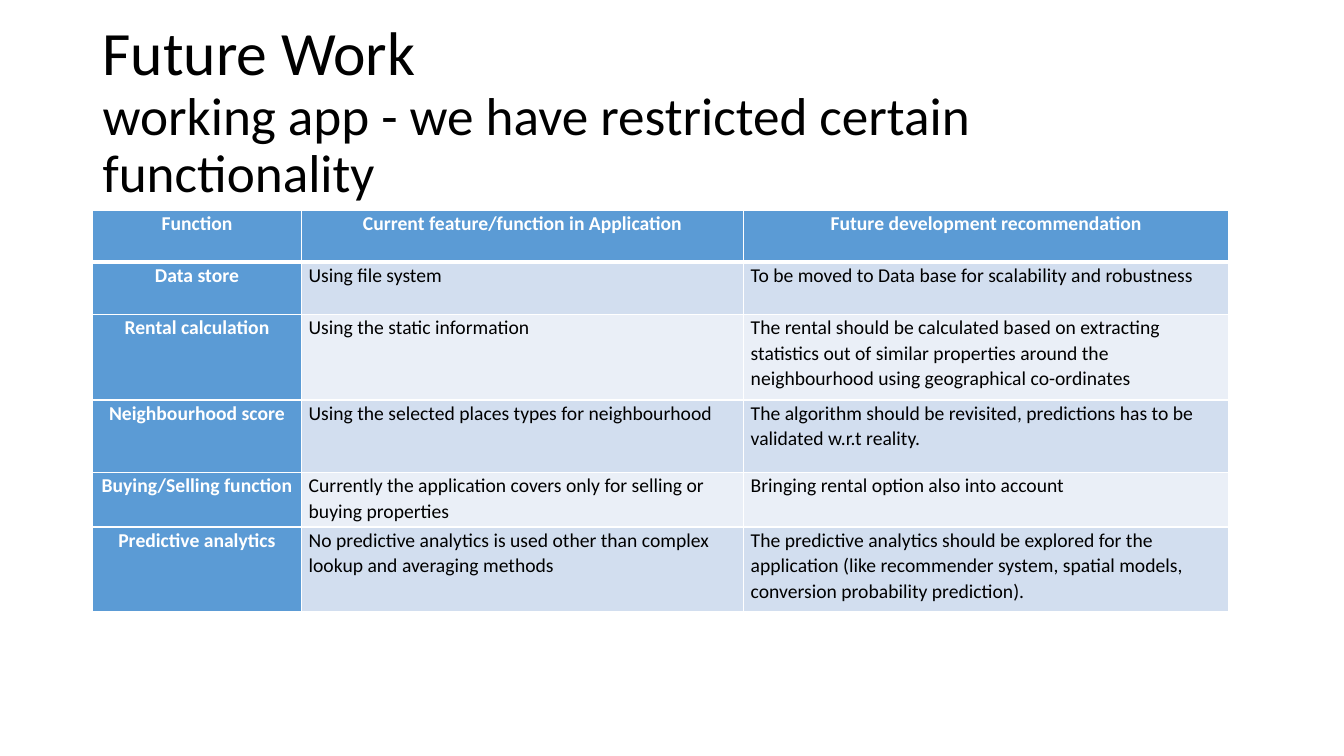
from dataclasses import dataclass

from lxml import etree
from pptx import Presentation
from pptx.dml.color import RGBColor
from pptx.enum.text import MSO_ANCHOR, MSO_AUTO_SIZE, PP_ALIGN
from pptx.oxml.ns import qn
from pptx.util import Cm, Pt

LEFT, CENTER = PP_ALIGN.LEFT, PP_ALIGN.CENTER
MIDDLE = MSO_ANCHOR.MIDDLE
NO_AUTOFIT = MSO_AUTO_SIZE.NONE
TITLE_ONLY_LAYOUT = 5

HEADING = "Future Work"
SUBHEADING = "working app - we have restricted certain functionality"
FUNCTION_ROWS = [
    ("Function", "Current feature/function in Application",
     "Future development recommendation"),
    ("Data store", "Using file system",
     "To be moved to Data base for scalability and robustness"),
    ("Rental calculation", "Using the static information",
     "The rental should be calculated based on extracting statistics out of "
     "similar properties around the neighbourhood using geographical co-ordinates"),
    ("Neighbourhood score", "Using the selected places types for neighbourhood",
     "The algorithm should be revisited, predictions has to be validated "
     "w.r.t reality."),
    ("Buying/Selling function",
     "Currently the application covers only for selling or buying properties",
     "Bringing rental option also into account"),
    ("Predictive analytics",
     "No predictive analytics is used other than complex lookup and averaging methods",
     "The predictive analytics should be explored for the application (like "
     "recommender system, spatial models, conversion probability prediction)."),
]
COLUMN_WIDTHS = [Cm(5.27), Cm(11.14), Cm(12.23)]
ROW_HEIGHTS = [Cm(1.3), Cm(1.32), Cm(2.16), Cm(1.83), Cm(1.37), Cm(2.13)]
CONTENT_LEFT = Cm(2.33)
TABLE_TOP = Cm(5.3)


@dataclass(frozen=True)
class Theme:
    font: str = "Calibri"
    heading_size: Pt = Pt(44)
    subheading_size: Pt = Pt(38)
    cell_size: Pt = Pt(14)
    text: RGBColor = RGBColor(0x00, 0x00, 0x00)
    white: RGBColor = RGBColor(0xFF, 0xFF, 0xFF)
    header_fill: RGBColor = RGBColor(0x5B, 0x9B, 0xD5)
    odd_row_fill: RGBColor = RGBColor(0xD2, 0xDE, 0xEF)
    even_row_fill: RGBColor = RGBColor(0xEA, 0xEF, 0xF7)


THEME = Theme()


def fill_title(title):
    title.left, title.top = CONTENT_LEFT, Cm(1.02)
    title.width, title.height = Cm(29.21), Cm(3.68)
    frame = title.text_frame
    frame.word_wrap = True
    frame.auto_size = NO_AUTOFIT
    frame.vertical_anchor = MIDDLE
    paragraph = frame.paragraphs[0]
    paragraph.alignment = LEFT
    paragraph.line_spacing = 0.9
    paragraph.font.name = THEME.font
    paragraph.font.color.rgb = THEME.text
    heading = paragraph.add_run()
    heading.text = HEADING
    heading.font.size = THEME.heading_size
    paragraph.add_line_break()
    subheading = paragraph.add_run()
    subheading.text = SUBHEADING
    subheading.font.size = THEME.subheading_size


def add_borders(cell, bottom_width):
    """Draw white cell borders; call before the fill, which must follow them in XML."""
    properties = cell._tc.get_or_add_tcPr()
    widths = {"a:lnL": Pt(1), "a:lnR": Pt(1), "a:lnT": Pt(1), "a:lnB": bottom_width}
    for tag, width in widths.items():
        line = etree.SubElement(properties, qn(tag), w=str(width))
        fill = etree.SubElement(line, qn("a:solidFill"))
        etree.SubElement(fill, qn("a:srgbClr"), val=str(THEME.white))


def format_cell(cell, text, row_index, column_index):
    is_header = row_index == 0 or column_index == 0
    add_borders(cell, Pt(3) if row_index == 0 else Pt(1))
    cell.fill.solid()
    if is_header:
        cell.fill.fore_color.rgb = THEME.header_fill
    else:
        cell.fill.fore_color.rgb = (
            THEME.odd_row_fill if row_index % 2 else THEME.even_row_fill)
    cell.margin_left = cell.margin_right = Cm(0.18)
    cell.margin_top = cell.margin_bottom = 0
    cell.text = text
    paragraph = cell.text_frame.paragraphs[0]
    paragraph.alignment = CENTER if is_header else LEFT
    paragraph.line_spacing = 1.07
    paragraph.space_after = Pt(8)
    paragraph.font.name = THEME.font
    paragraph.font.size = THEME.cell_size
    paragraph.font.bold = is_header
    paragraph.font.color.rgb = THEME.white if is_header else THEME.text


def add_function_table(slide):
    table = slide.shapes.add_table(
        len(FUNCTION_ROWS), len(COLUMN_WIDTHS), CONTENT_LEFT, TABLE_TOP,
        sum(COLUMN_WIDTHS), sum(ROW_HEIGHTS)).table
    table.first_col = True
    for column, width in zip(table.columns, COLUMN_WIDTHS):
        column.width = width
    for row, height in zip(table.rows, ROW_HEIGHTS):
        row.height = height
    for row_index, texts in enumerate(FUNCTION_ROWS):
        for column_index, text in enumerate(texts):
            format_cell(table.cell(row_index, column_index), text,
                        row_index, column_index)


def main():
    presentation = Presentation()
    presentation.slide_width, presentation.slide_height = Cm(33.87), Cm(19.05)
    slide = presentation.slides.add_slide(
        presentation.slide_layouts[TITLE_ONLY_LAYOUT])
    fill_title(slide.shapes.title)
    add_function_table(slide)
    presentation.save("out.pptx")


if __name__ == "__main__":
    main()
